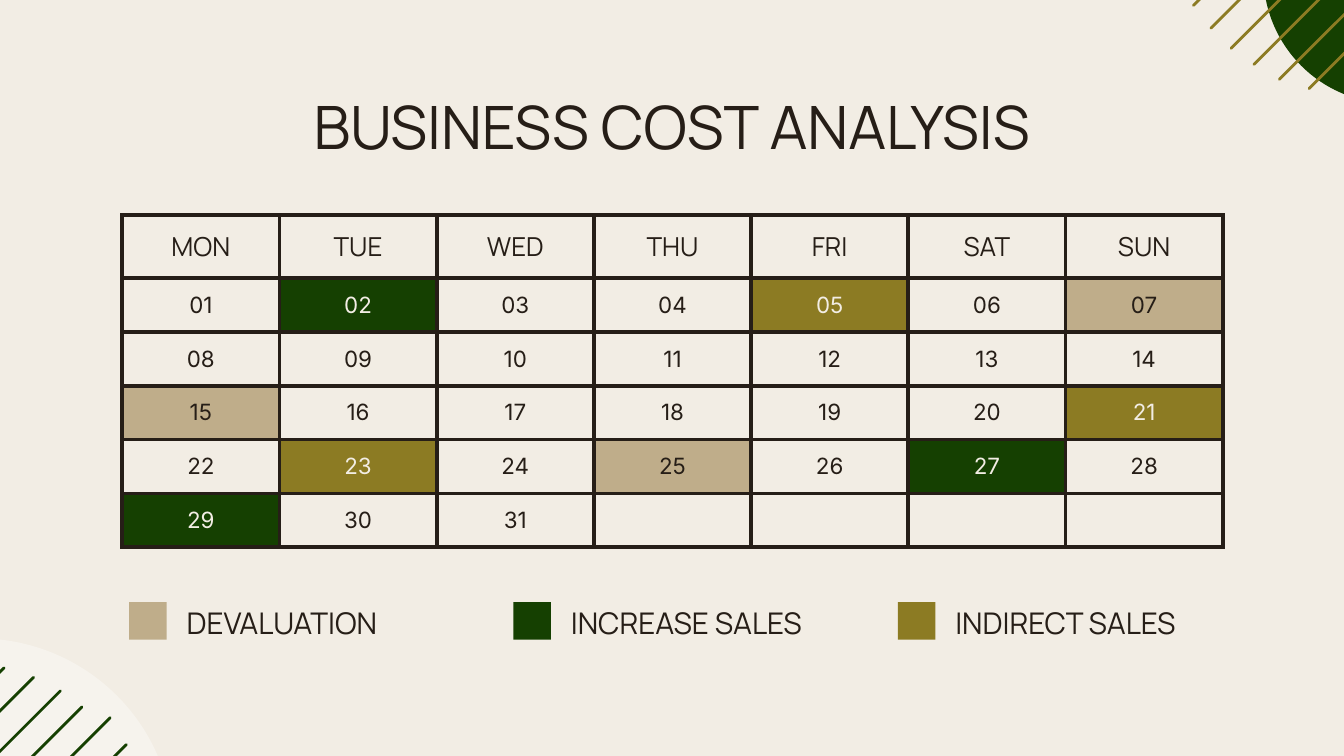
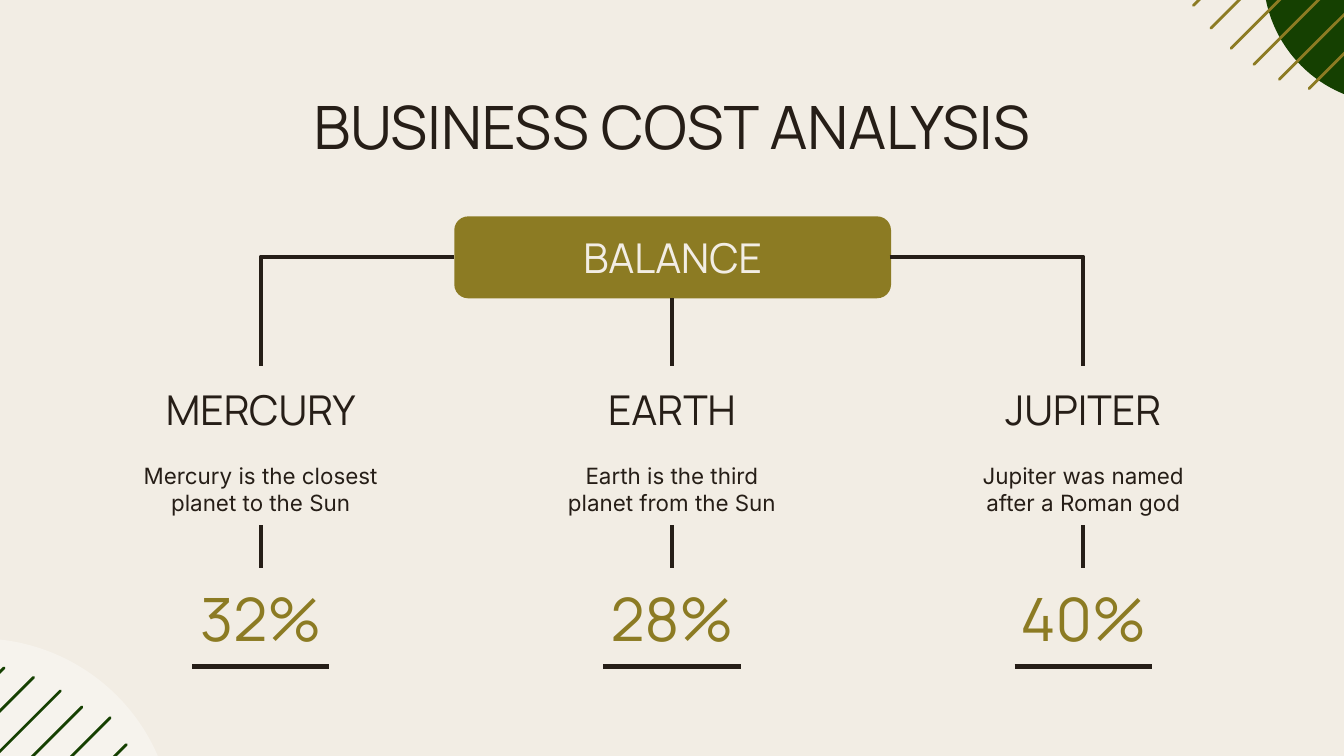
from dataclasses import dataclass
from typing import NamedTuple

from lxml import etree
from pptx import Presentation
from pptx.dml.color import RGBColor
from pptx.enum.shapes import MSO_CONNECTOR, MSO_SHAPE
from pptx.enum.text import MSO_ANCHOR, PP_ALIGN
from pptx.oxml.ns import qn
from pptx.util import Emu, Pt

TOP, MID, LOW = MSO_ANCHOR.TOP, MSO_ANCHOR.MIDDLE, MSO_ANCHOR.BOTTOM
LEFT, MIDST = PP_ALIGN.LEFT, PP_ALIGN.CENTER
RECT, ROUND, OVAL = MSO_SHAPE.RECTANGLE, MSO_SHAPE.ROUNDED_RECTANGLE, MSO_SHAPE.OVAL
STRAIGHT, ELBOW = MSO_CONNECTOR.STRAIGHT, MSO_CONNECTOR.ELBOW

SCALE = 9144  # 100 px to the inch
WIDE = 1000
PAD = 10


@dataclass(frozen=True)
class Theme:
    paper: str = "F2EDE4"
    ink: str = "261E17"
    green: str = "154001"
    gold: str = "8C7B23"
    tan: str = "BFAD8A"
    white: str = "FFFFFF"
    head: str = "Manrope"
    body: str = "Inter"
    big: int = 32
    sub: int = 22
    key: int = 16
    day: int = 14
    small: int = 12
    thick: float = 2.25
    thin: float = 1.5


T = Theme()


class Box(NamedTuple):
    x: int
    y: int
    w: int
    h: int


class Type(NamedTuple):
    font: str
    size: int
    ink: str = T.ink


class Hatch(NamedTuple):
    x: int
    y: int
    span: int


class Card(NamedTuple):
    name: str
    note: str
    share: str


# Content
TITLE = "BUSINESS COST ANALYSIS"
DAYS = ["MON", "TUE", "WED", "THU", "FRI", "SAT", "SUN"]
MARKS = {
    "DEVALUATION": (T.tan, T.ink, {7, 15, 25}),
    "INCREASE SALES": (T.green, T.paper, {2, 27, 29}),
    "INDIRECT SALES": (T.gold, T.paper, {5, 21, 23}),
}
LAST = 31
CARDS = [
    Card("MERCURY", "Mercury is the closest planet to the Sun", "32%"),
    Card("EARTH", "Earth is the third planet from the Sun", "28%"),
    Card("JUPITER", "Jupiter was named after a Roman god", "40%"),
]

# Corner strokes: upper right point and reach down to the left
STROKES = {
    T.gold: [Hatch(1083, -191, 195), Hatch(1107, -185, 206), Hatch(1125, -173, 209),
             Hatch(1135, -154, 202), Hatch(1138, -127, 186), Hatch(1145, -105, 171)],
    T.green: [Hatch(3, 497, 171), Hatch(25, 504, 185), Hatch(45, 514, 195),
              Hatch(61, 526, 199), Hatch(82, 534, 206), Hatch(94, 554, 199)],
}


# Drawing tools
def px(n: int) -> Emu:
    return Emu(n * SCALE)


def tint(code: str) -> RGBColor:
    return RGBColor.from_string(code)


def write(frame, text: str, type: Type, align=MIDST) -> None:
    para = frame.paragraphs[0]
    para.alignment = align
    run = para.add_run()
    run.text = text
    run.font.name = type.font
    run.font.size = Pt(type.size)
    run.font.bold = False
    run.font.color.rgb = tint(type.ink)


def inset(part, gap: int = PAD) -> None:
    part.margin_left = part.margin_right = px(gap)
    part.margin_top = part.margin_bottom = px(gap)


def label(slide, box: Box, text: str, type: Type, align=MIDST, hold=TOP) -> None:
    frame = slide.shapes.add_textbox(*map(px, box)).text_frame
    frame.word_wrap = True
    frame.vertical_anchor = hold
    inset(frame)
    write(frame, text, type, align)


def block(slide, kind, box: Box, fill: str):
    shape = slide.shapes.add_shape(kind, *map(px, box))
    shape.shadow.inherit = False
    shape.fill.solid()
    shape.fill.fore_color.rgb = tint(fill)
    shape.line.fill.background()
    return shape


def line(slide, x1: int, y1: int, x2: int, y2: int, ink: str = T.ink,
         width: float = T.thick, kind=STRAIGHT):
    link = slide.shapes.add_connector(kind, px(x1), px(y1), px(x2), px(y2))
    link.line.color.rgb = tint(ink)
    link.line.width = Pt(width)
    etree.SubElement(link.element.spPr, qn("a:effectLst"))
    return link


def bend(slide, x1: int, y1: int, x2: int, y2: int) -> None:
    link = line(slide, x1, y1, x2, y2, kind=ELBOW)
    link.element.spPr.find(qn("a:prstGeom")).set("prst", "bentConnector2")


def edge_cell(cell) -> None:
    props = cell._tc.get_or_add_tcPr()
    for spot, side in enumerate(("lnL", "lnR", "lnT", "lnB")):
        edge = etree.Element(qn(f"a:{side}"), w=str(Pt(T.thick)))
        fill = etree.SubElement(edge, qn("a:solidFill"))
        etree.SubElement(fill, qn("a:srgbClr"), val=T.ink)
        props.insert(spot, edge)


def fill_cell(cell, text: str, type: Type, fill: str = "") -> None:
    cell.vertical_anchor = MID
    inset(cell, PAD if text else 0)
    if text:
        write(cell.text_frame, text, type)
    if fill:
        cell.fill.solid()
        cell.fill.fore_color.rgb = tint(fill)
    else:
        cell.fill.background()
    edge_cell(cell)


# Shared ground: paper, corner discs, strokes and title
def start(deck):
    slide = deck.slides.add_slide(deck.slide_layouts[6])
    slide.background.fill.solid()
    slide.background.fill.fore_color.rgb = tint(T.paper)
    block(slide, OVAL, Box(940, -115, 192, 192), T.green)
    disc = block(slide, OVAL, Box(-161, 475, 290, 288), T.white)
    shade = disc.element.spPr.find(".//" + qn("a:srgbClr"))
    etree.SubElement(shade, qn("a:alpha"), val="36000")
    for ink, group in STROKES.items():
        for x, y, span in group:
            link = line(slide, x, y, x - span, y + span, ink, T.thin)
            link.line._ln.set("cap", "rnd")
    label(slide, Box(78, 57, 844, 77), TITLE, Type(T.head, T.big))
    return slide


# Slide 1: month table and its key
def month(deck) -> None:
    slide = start(deck)
    rows, cols = 6, len(DAYS)
    wide, head, tall = 117, 47, 40
    box = Box(91, 160, cols * wide, head + (rows - 1) * tall)
    grid = slide.shapes.add_table(rows, cols, *map(px, box)).table
    grid.first_row = grid.horz_banding = False
    for col in grid.columns:
        col.width = px(wide)
    for r, row in enumerate(grid.rows):
        row.height = px(tall if r else head)
    for c, day in enumerate(DAYS):
        fill_cell(grid.cell(0, c), day, Type(T.head, T.day))
    looks = {n: (fill, ink) for fill, ink, dates in MARKS.values() for n in dates}
    for n in range(1, (rows - 1) * cols + 1):
        r, c = divmod(n - 1, cols)
        fill, ink = looks.get(n, ("", T.ink))
        text = f"{n:02}" if n <= LAST else ""
        fill_cell(grid.cell(r + 1, c), text, Type(T.body, T.small, ink), fill)

    for i, (name, (fill, _, _)) in enumerate(MARKS.items()):
        x = 96 + i * 286
        label(slide, Box(x + 33, 440, 203, 44), name, Type(T.head, T.key), LEFT)
        block(slide, RECT, Box(x, 448, 28, 28), fill)


# Slide 2: balance tree
def tree(deck) -> None:
    slide = start(deck)
    root = block(slide, ROUND, Box(338, 161, 325, 61), T.gold)
    root.adjustments[0] = 0.17
    root.text_frame.vertical_anchor = MID
    inset(root.text_frame)
    write(root.text_frame, "BALANCE", Type(T.head, T.sub, T.paper))

    for i, card in enumerate(CARDS):
        x, wide = 95 + i * 306, 198
        mid = x + wide // 2
        label(slide, Box(x, 272, wide, 61), card.name, Type(T.head, T.sub), hold=LOW)
        label(slide, Box(x, 334, wide, 58), card.note, Type(T.body, T.small))
        label(slide, Box(x, 423, wide, 73), card.share,
              Type(T.head, T.big, T.gold), hold=LOW)
        line(slide, mid, 391, mid, 423)
        line(slide, mid - 51, 496, mid + 51, 496)
        if mid == WIDE // 2:
            line(slide, mid, 222, mid, 272)
        else:
            bend(slide, 338 if mid < WIDE // 2 else 662, 191, mid, 272)


def main() -> None:
    deck = Presentation()
    deck.slide_width = px(WIDE)
    deck.slide_height = Emu(px(WIDE) * 9 // 16)
    month(deck)
    tree(deck)
    deck.save("out.pptx")


if __name__ == "__main__":
    main()
